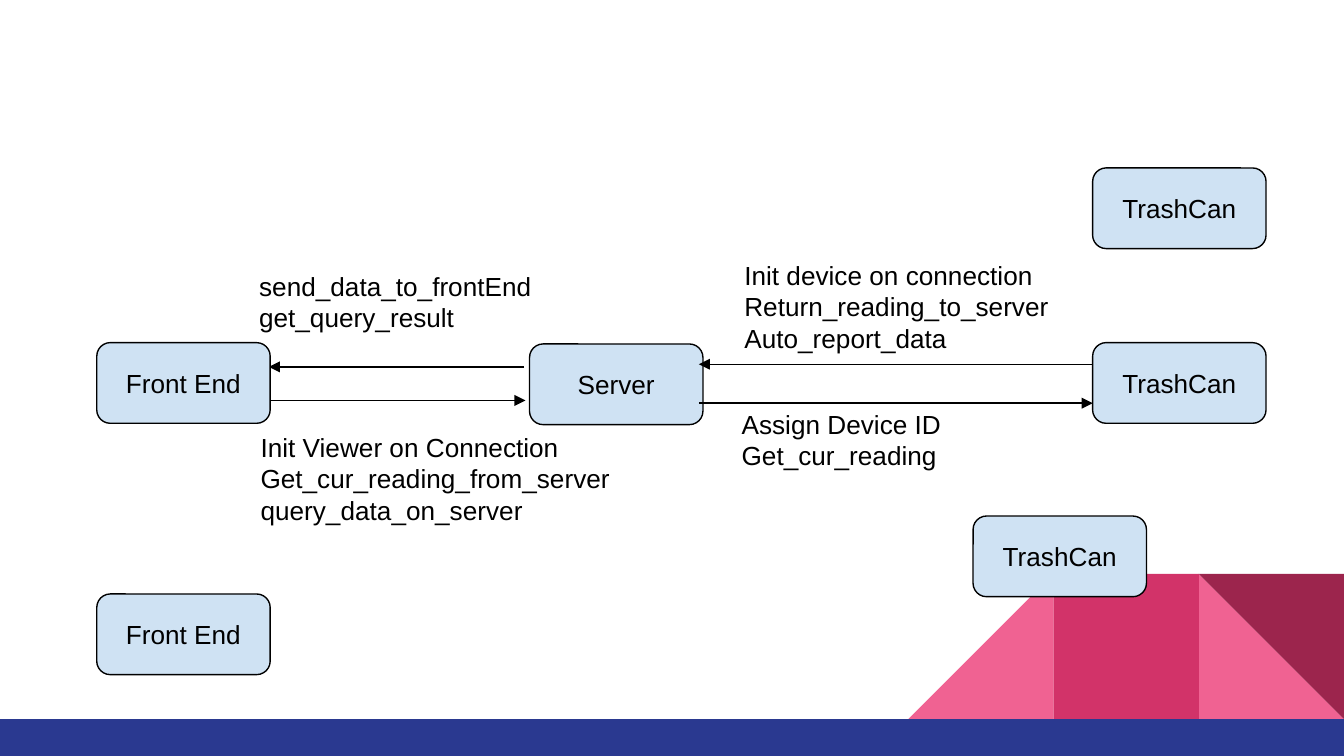
from dataclasses import dataclass

from lxml import etree
from pptx import Presentation
from pptx.dml.color import RGBColor
from pptx.enum.shapes import MSO_CONNECTOR, MSO_SHAPE
from pptx.enum.text import MSO_ANCHOR, MSO_AUTO_SIZE, PP_ALIGN
from pptx.oxml.ns import qn
from pptx.util import Inches, Pt

TRIANGLE = MSO_SHAPE.RIGHT_TRIANGLE
RECTANGLE = MSO_SHAPE.RECTANGLE
ROUNDED = MSO_SHAPE.ROUNDED_RECTANGLE
STRAIGHT = MSO_CONNECTOR.STRAIGHT
MIDDLE = MSO_ANCHOR.MIDDLE
CENTER = PP_ALIGN.CENTER
FIT_SHAPE = MSO_AUTO_SIZE.SHAPE_TO_FIT_TEXT


@dataclass(frozen=True)
class Theme:
    ink: RGBColor = RGBColor(0x00, 0x00, 0x00)
    node: RGBColor = RGBColor(0xCF, 0xE2, 0xF3)
    pink: RGBColor = RGBColor(0xF0, 0x62, 0x92)
    rose: RGBColor = RGBColor(0xD2, 0x33, 0x69)
    wine: RGBColor = RGBColor(0x9C, 0x25, 0x4D)
    navy: RGBColor = RGBColor(0x2A, 0x39, 0x90)
    font: str = "Arial"
    text_size: Pt = Pt(14)
    line_width: Pt = Pt(0.75)


theme = Theme()
prs = Presentation()
prs.slide_width = Inches(10)
prs.slide_height = Inches(10 * 9 / 16)
slide = prs.slides.add_slide(prs.slide_layouts[6])


def add_filled(kind, left, top, width, height, color):
    shape = slide.shapes.add_shape(
        kind, Inches(left), Inches(top), Inches(width), Inches(height))
    shape.shadow.inherit = False
    shape.fill.solid()
    shape.fill.fore_color.rgb = color
    shape.line.fill.background()
    return shape


def write_line(paragraph, text):
    run = paragraph.add_run()
    run.text = text
    run.font.name = theme.font
    run.font.size = theme.text_size
    run.font.color.rgb = theme.ink


# Corner decoration: square tiles standing on the bottom bar
TILE = 1.08
BAR_TOP = 5.35
tile_top = BAR_TOP - TILE
tile_lefts = [10 - TILE * n for n in (3, 2, 1)]
add_filled(TRIANGLE, tile_lefts[2], tile_top, TILE, TILE, theme.pink)
left_slope = add_filled(TRIANGLE, tile_lefts[0], tile_top, TILE, TILE, theme.pink)
left_slope._element.spPr.find(qn("a:xfrm")).set("flipH", "1")
add_filled(RECTANGLE, tile_lefts[1], tile_top, TILE, TILE, theme.rose)
dark_corner = add_filled(TRIANGLE, tile_lefts[2], tile_top, TILE, TILE, theme.wine)
dark_corner.rotation = 180
add_filled(RECTANGLE, 0, BAR_TOP, 10, 0.28, theme.navy)

# Message arrows: start x, end x, y
arrows = [
    (5.2, 8.13, 3.0),
    (2.02, 3.91, 2.98),
    (3.9, 2.0, 2.73),
    (8.13, 5.2, 2.71),
]

# Nodes: label, left, top; the arrows lie above the first four
nodes = [
    ("Server", 3.94, 2.56),
    ("TrashCan", 8.13, 1.25),
    ("TrashCan", 8.13, 2.55),
    ("TrashCan", 7.24, 3.84),
    ("Front End", 0.72, 2.55),
    ("Front End", 0.72, 4.42),
]
for index, (label, left, top) in enumerate(nodes):
    if index == 4:
        for start, end, y in arrows:
            arrow = slide.shapes.add_connector(
                STRAIGHT, Inches(start), Inches(y), Inches(end), Inches(y))
            arrow.line.color.rgb = theme.ink
            arrow.line.width = theme.line_width
            etree.SubElement(arrow.line._get_or_add_ln(), qn("a:tailEnd"), type="triangle")
            etree.SubElement(arrow._element.spPr, qn("a:effectLst"))
    node = add_filled(ROUNDED, left, top, 1.29, 0.6, theme.node)
    node.adjustments[0] = 0.167
    node.line.color.rgb = theme.ink
    node.line.width = theme.line_width
    frame = node.text_frame
    frame.margin_left = frame.margin_right = Inches(0.1)
    frame.margin_top = frame.margin_bottom = Inches(0.1)
    frame.vertical_anchor = MIDDLE
    frame.paragraphs[0].alignment = CENTER
    write_line(frame.paragraphs[0], label)

# Message names: left, top, width, height, lines
messages = [
    (5.44, 1.88, 2.47, 0.81,
     ["Init device on connection", "Return_reading_to_server", "Auto_report_data"]),
    (5.42, 2.99, 1.7, 0.57, ["Assign Device ID", "Get_cur_reading"]),
    (1.83, 1.96, 2.24, 0.57, ["send_data_to_frontEnd", "get_query_result"]),
    (1.84, 3.16, 2.81, 0.81,
     ["Init Viewer on Connection", "Get_cur_reading_from_server", "query_data_on_server"]),
]
for left, top, width, height, lines in messages:
    message = slide.shapes.add_textbox(
        Inches(left), Inches(top), Inches(width), Inches(height))
    frame = message.text_frame
    frame.word_wrap = False
    frame.auto_size = FIT_SHAPE
    for number, text in enumerate(lines):
        paragraph = frame.add_paragraph() if number else frame.paragraphs[0]
        write_line(paragraph, text)

prs.save("out.pptx")
